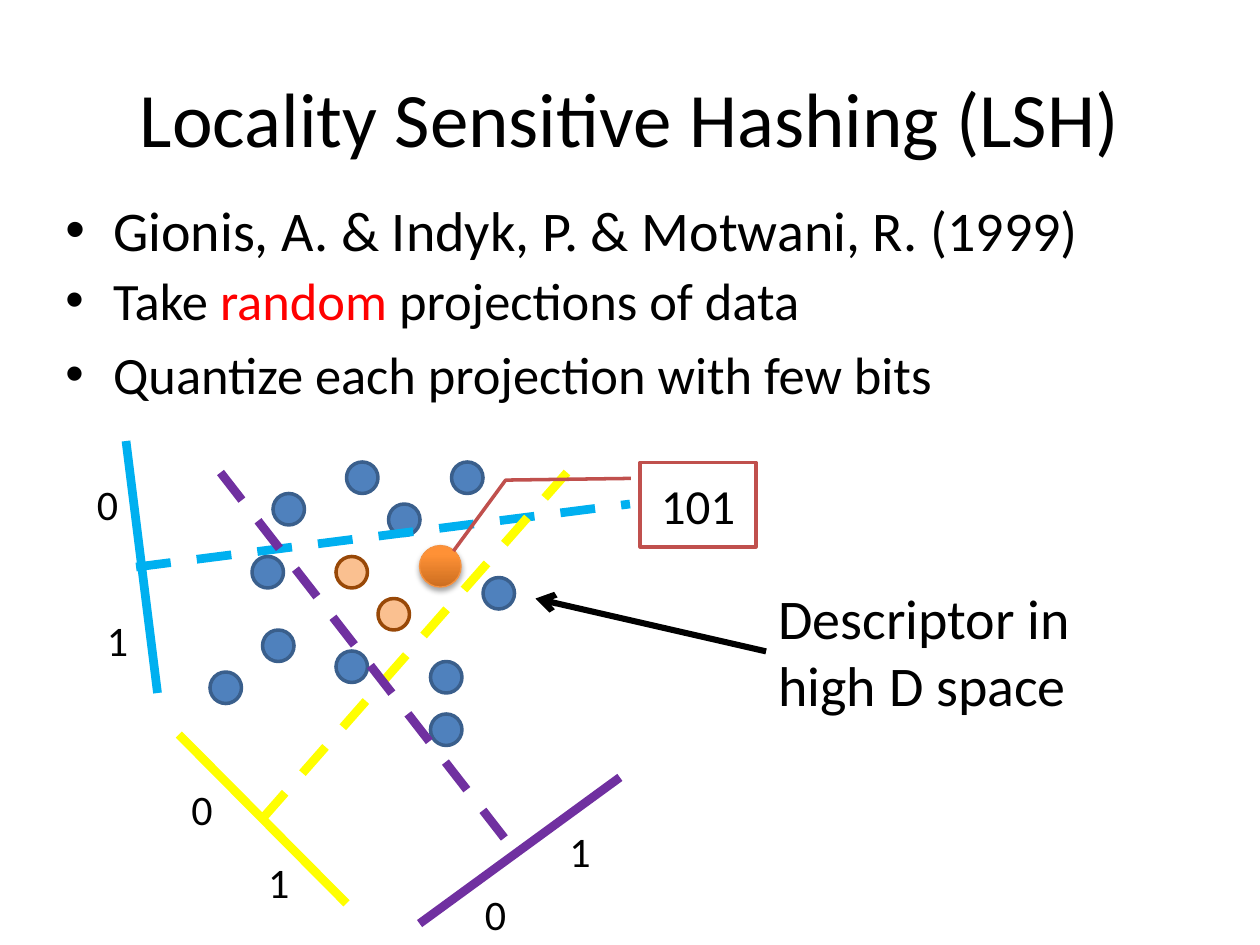
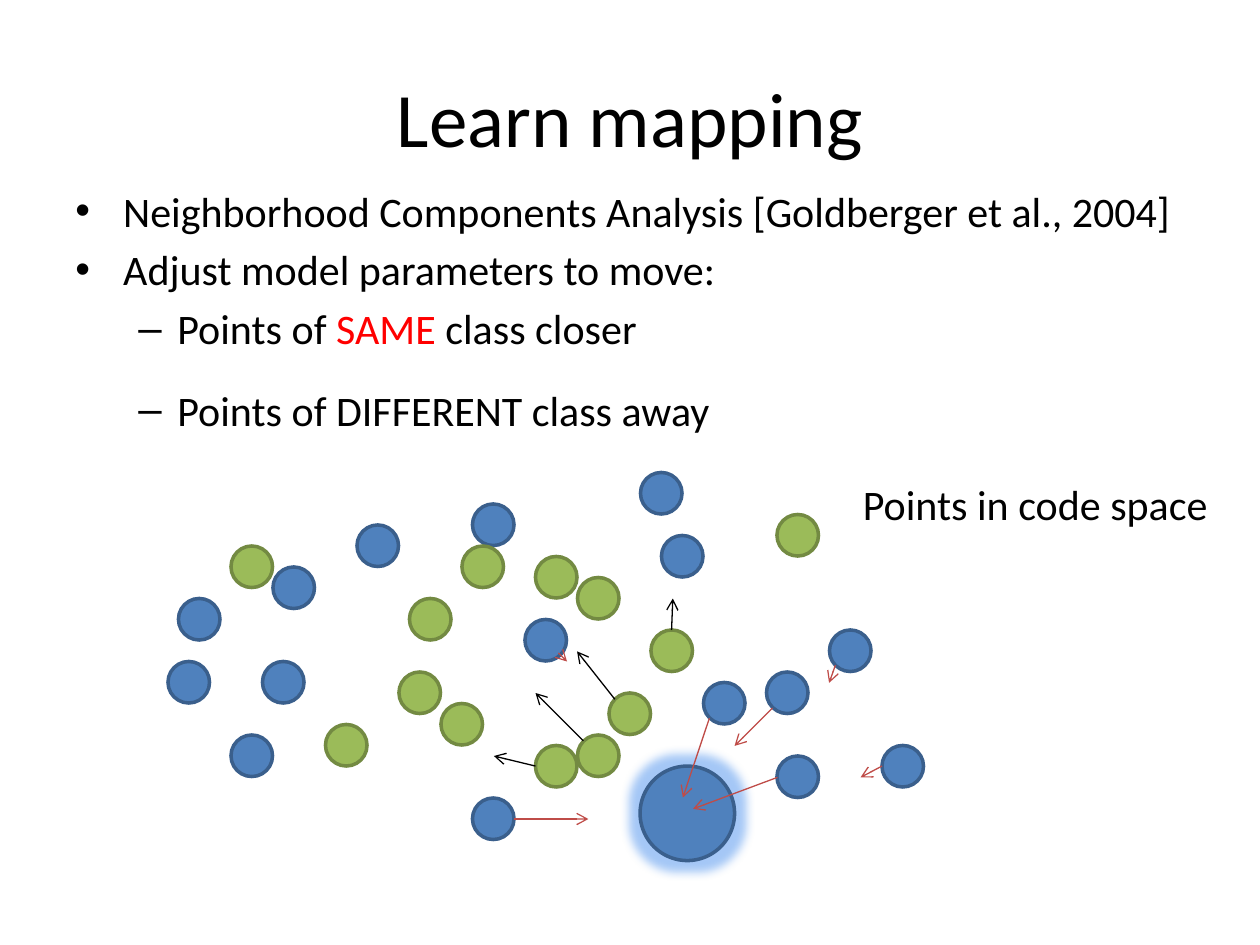
from lxml import etree
from pptx import Presentation
from pptx.dml.color import RGBColor
from pptx.enum.dml import MSO_LINE
from pptx.enum.shapes import MSO_CONNECTOR, MSO_SHAPE
from pptx.enum.text import MSO_ANCHOR, MSO_AUTO_SIZE, PP_ALIGN
from pptx.oxml.ns import qn
from pptx.util import Inches, Pt

OVAL = MSO_SHAPE.OVAL
CALLOUT = MSO_SHAPE.LINE_CALLOUT_2
STRAIGHT = MSO_CONNECTOR.STRAIGHT
DASH = MSO_LINE.DASH
CENTER = PP_ALIGN.CENTER
MIDDLE = MSO_ANCHOR.MIDDLE
TOP = MSO_ANCHOR.TOP
GROW = MSO_AUTO_SIZE.SHAPE_TO_FIT_TEXT
FIXED = MSO_AUTO_SIZE.NONE
LEFT_SIDE = 1

COLORS = {
    "text": "000000", "white": "FFFFFF", "highlight": "FF0000",
    "blue": "4F81BD", "blue edge": "3A5F8C",
    "green": "9BBB59", "green edge": "738A42",
    "peach": "FAC090", "peach edge": "984807",
    "query edge": "F69240", "query dark": "CC6E20", "query light": "FF9136",
    "sky": "00B0F0", "yellow": "FFFF00", "purple": "7030A0",
    "callout": "C0504D", "pull": "BF4C48", "glow": "4A90EE",
}
# Bullet character, left margin and hanging indent for each level
BULLETS = [("•", 0.38, -0.38), ("–", 0.81, -0.31)]
GRID = 12  # dots sit on a grid of twelfths of an inch


def rgb(name):
    return RGBColor.from_string(COLORS[name])


def set_all(target, values):
    for name, value in values.items():
        setattr(target, name, value)


def add_effect(shape, kind, color, alpha, **values):
    """Append one effect to the effect list of a shape."""
    effects = shape._element.spPr.find(qn("a:effectLst"))
    effect = etree.SubElement(effects, qn("a:" + kind))
    for name, value in values.items():
        effect.set(name, str(int(value)))
    tone = etree.SubElement(effect, qn("a:srgbClr"), val=COLORS[color])
    etree.SubElement(tone, qn("a:alpha"), val=str(alpha * 1000))


class Deck:
    font = "Calibri"

    def __init__(self):
        self.deck = Presentation()
        self.deck.slide_width = Inches(10)
        self.deck.slide_height = Inches(7.5)
        self.page = None

    def add_page(self, title):
        self.page = self.deck.slides.add_slide(self.deck.slide_layouts[6])
        self.text((0.5, 0.3, 9, 1.25), [title], 44, align=CENTER,
                  anchor=MIDDLE, grow=False)

    def add_spans(self, para, content, size):
        """Add a string, or a list of strings and (string, colour) pairs."""
        spans = [content] if isinstance(content, str) else content
        for item in spans:
            words, color = (item, "text") if isinstance(item, str) else item
            for number, line in enumerate(words.split("\n")):
                if number:
                    para.add_line_break()
                span = para.add_run()
                span.text = line
                set_all(span.font, {"name": self.font, "size": Pt(size)})
                span.font.color.rgb = rgb(color)

    def text(self, place, lines, size, levels=None, align=None, anchor=TOP,
             wrap=True, grow=True):
        box = self.page.shapes.add_textbox(*map(Inches, place))
        frame = box.text_frame
        set_all(frame, {"word_wrap": wrap, "vertical_anchor": anchor,
                        "auto_size": GROW if grow else FIXED})
        for number, content in enumerate(lines):
            para = frame.add_paragraph() if number else frame.paragraphs[0]
            if levels:
                self.bullet(para, levels[number])
            if number:
                para.space_before = Pt(size * 0.2)
            if align is not None:
                para.alignment = align
            self.add_spans(para, content, size)
        return box

    def bullet(self, para, level):
        mark, margin, indent = BULLETS[level]
        para.level = level
        props = para._p.get_or_add_pPr()
        props.set("marL", str(Inches(margin)))
        props.set("indent", str(Inches(indent)))
        etree.SubElement(props, qn("a:buFont"), typeface="Arial")
        etree.SubElement(props, qn("a:buChar"), char=mark)

    def shape(self, kind, place, fill, edge, width=2):
        shape = self.page.shapes.add_shape(kind, *map(Inches, place))
        shape.shadow.inherit = False
        shape.fill.solid()
        shape.fill.fore_color.rgb = rgb(fill)
        shape.line.color.rgb = rgb(edge)
        shape.line.width = Pt(width)
        return shape

    def dots(self, cells, size, color):
        """Draw dots whose left and top are counted in grid steps."""
        for column, row in cells:
            self.shape(OVAL, (column / GRID, row / GRID, size, size),
                       color, color + " edge")

    def line(self, start, end, color, width, dash=None, arrow=False):
        line = self.page.shapes.add_connector(
            STRAIGHT, *map(Inches, (*start, *end)))
        line.line.color.rgb = rgb(color)
        set_all(line.line, {"width": Pt(width), "dash_style": dash})
        if arrow:
            outline = line._element.spPr.find(qn("a:ln"))
            etree.SubElement(outline, qn("a:tailEnd"), type="arrow")
        etree.SubElement(line._element.spPr, qn("a:effectLst"))
        return line

    def projection(self, color, divider, axis, labels):
        """Group a dashed divider, its axis and the two bit labels."""
        parts = [self.line(*divider, color, 5, DASH),
                 self.line(*axis, color, 5)]
        for bit, (left, top) in enumerate(labels):
            parts.append(self.text((left, top, 0.39, 0.5), [str(bit)], 24,
                                   wrap=False))
        self.page.shapes.add_group_shape(parts)


def build_hashing(deck):
    deck.add_page("Locality Sensitive Hashing (LSH)")
    deck.text((0.42, 1.5, 10.33, 5.33),
              ["Gionis, A. & Indyk, P. & Motwani, R. (1999)"], 32,
              levels=[0], grow=False)

    # Descriptors and the query point
    deck.dots([(25, 60), (26, 47), (33, 44), (24, 53), (32, 62), (37, 48),
               (20, 64), (46, 55), (41, 68), (41, 63), (43, 44)], 0.25, "blue")
    query = deck.shape(OVAL, (3.33, 4.33, 0.33, 0.33), "query light",
                       "query edge", 0.75)
    query.fill.gradient()
    query.fill.gradient_angle = 90
    stops = [(0, "query dark"), (0.8, "query light")]
    for stop, (position, color) in zip(query.fill.gradient_stops, stops):
        stop.position = position
        stop.color.rgb = rgb(color)
    add_effect(query, "outerShdw", "text", 35, blurRad=Pt(3.1), dist=Pt(1.8),
               dir=5400000, rotWithShape=0)

    deck.text((0.42, 2.08, 9.42, 1.21),
              [["Take ", ("random", "highlight"), " projections of data"],
               "Quantize each projection with few bits"], 30, levels=[0, 0])

    # Random projections
    deck.projection("sky", ((1.08, 4.5), (5, 4)), ((1.25, 5.5), (1, 3.5)),
                    [(0.67, 3.75), (0.75, 4.83)])
    deck.projection("yellow", ((2.08, 6.5), (4.5, 3.75)),
                    ((1.42, 5.83), (2.75, 7.17)), [(1.42, 6.17), (2.03, 6.75)])
    deck.projection("purple", ((1.75, 3.75), (4.08, 6.75)),
                    ((3.33, 7.33), (4.92, 6.17)), [(3.75, 7), (4.42, 6.5)])

    # Code of the query point and its neighbours
    code = deck.shape(CALLOUT, (5.08, 3.67, 0.92, 0.67), "white", "callout")
    for number, value in enumerate([0.19, -0.08, 0.21, -1.16, 1.05, -1.61]):
        code.adjustments[number] = value
    code.text_frame.vertical_anchor = MIDDLE
    para = code.text_frame.paragraphs[0]
    para.alignment = CENTER
    deck.add_spans(para, "101", 28)
    deck.dots([(32, 53), (36, 57)], 0.25, "peach")

    # Pointer to a descriptor
    pointer = deck.line((6.08, 5.17), (4.25, 4.75), "text", 3.5, arrow=True)
    label = deck.text((6.08, 4.58, 2.64, 1.18),
                      ["Descriptor in \nhigh D space"], 32, wrap=False)
    pointer.begin_connect(label, LEFT_SIDE)


def build_mapping(deck):
    deck.add_page("Learn mapping")

    # Points of two classes
    deck.dots([(17, 57), (16, 63), (26, 54), (22, 70), (25, 63), (45, 76),
               (50, 59), (34, 50), (45, 48), (73, 64), (67, 65), (74, 72),
               (61, 45), (79, 60), (84, 71), (63, 51)], 0.33, "blue")
    deck.dots([(22, 52), (62, 60), (38, 64), (31, 69), (39, 57), (55, 70),
               (44, 52), (51, 53), (42, 67), (55, 55), (51, 71), (58, 66),
               (74, 49)], 0.33, "green")
    center = deck.shape(OVAL, (5.08, 6.08, 0.75, 0.75), "blue", "blue edge")
    add_effect(center, "glow", "glow", 50, rad=Pt(11))

    # Same class moves closer, different class moves away
    moves = {
        "pull": [((4.08, 6.5), (4.67, 6.5)), ((6.17, 6.17), (5.5, 6.42)),
                 ((5.63, 5.7), (5.42, 6.33)), ((6.13, 5.62), (5.83, 5.92)),
                 ((6.63, 5.28), (6.58, 5.42)), ((7, 6.08), (6.83, 6.17)),
                 ((4.45, 5.2), (4.5, 5.25))],
        "text": [((4.25, 6.08), (3.92, 6)), ((4.63, 5.88), (4.25, 5.5)),
                 ((4.88, 5.55), (4.58, 5.17)), ((5.33, 5), (5.34, 4.75))],
    }
    for color, arrows in moves.items():
        for start, end in arrows:
            deck.line(start, end, color, 0.75, arrow=True)

    # Explanation
    deck.text((0.5, 1.42, 9.17, 2.42),
              ["Neighborhood Components Analysis [Goldberger et al., 2004]",
               "Adjust model parameters to move:",
               ["Points of ", ("SAME", "highlight"), " class closer"]],
              24, levels=[0, 0, 1], grow=False)
    deck.text((0.5, 3, 6.67, 0.51), ["Points of DIFFERENT class away"], 24,
              levels=[1])
    deck.text((6.75, 3.75, 2.96, 0.5), ["Points in code space"], 24,
              wrap=False)


def main():
    deck = Deck()
    build_hashing(deck)
    build_mapping(deck)
    deck.deck.save("out.pptx")


if __name__ == "__main__":
    main()
